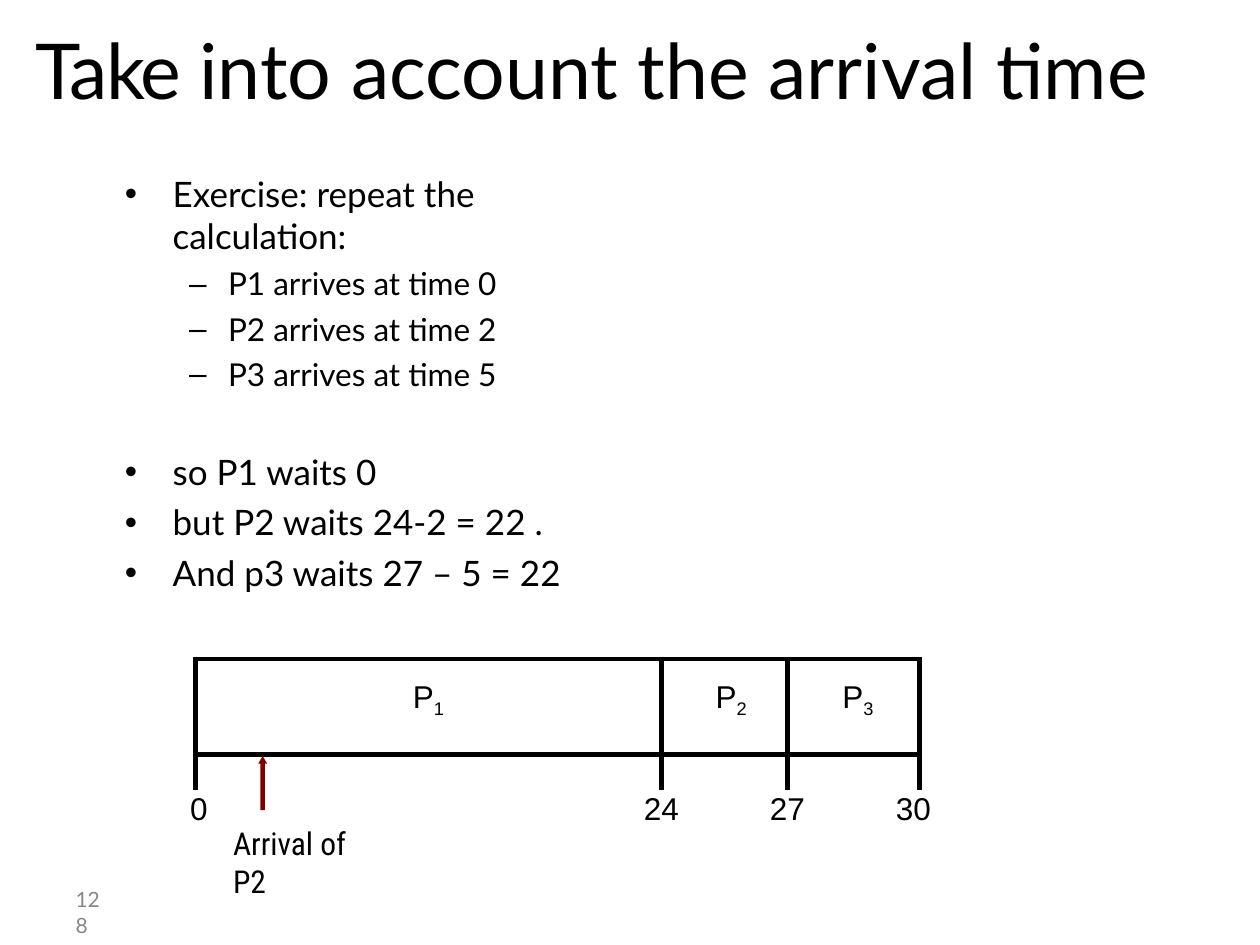
from lxml.etree import SubElement
from pptx import Presentation
from pptx.dml.color import RGBColor
from pptx.enum.shapes import MSO_SHAPE
from pptx.enum.text import MSO_ANCHOR, MSO_AUTO_SIZE, PP_ALIGN
from pptx.oxml.ns import qn
from pptx.util import Inches, Pt

COLORS = {"text": "000000", "number": "888888", "arrow": "800000"}


def add_run(paragraph, text, size, font="Lato", color="text"):
    run = paragraph.add_run()
    run.text = text
    run.font.size = Pt(size)
    run.font.name = font
    run.font.color.rgb = RGBColor.from_string(COLORS[color])
    return run


def prepare_frame(shape, box, top_margin):
    shape.left, shape.top, shape.width, shape.height = (Inches(value) for value in box)
    frame = shape.text_frame
    frame.word_wrap = True
    frame.auto_size = MSO_AUTO_SIZE.NONE
    frame.vertical_anchor = MSO_ANCHOR.TOP
    frame.margin_left = frame.margin_right = frame.margin_bottom = 0
    frame.margin_top = Inches(top_margin)
    return frame


def add_label(slide, box, text, size, font, color="text"):
    left, top, width, height = box
    shape = slide.shapes.add_textbox(0, 0, 0, 0)
    frame = prepare_frame(shape, (left + 0.01, top, width - 0.01, height), 0.01)
    add_run(frame.paragraphs[0], text, size, font, color)


def fill_title(slide, box):
    paragraph = prepare_frame(slide.shapes.title, box, 0.01).paragraphs[0]
    paragraph.alignment = PP_ALIGN.LEFT
    first_run = add_run(paragraph, "Take ", 44)
    first_run.font._element.set("spc", "-120")
    add_run(paragraph, "into account the arrival time", 44)


def fill_body(slide, box):
    # Level: text size, left margin, hanging indent, bullet
    styles = {0: (20, 0.39, -0.38, "•"), 1: (18, 0.83, -0.31, "–")}
    # Level, space before, text
    items = [
        (0, 0, "Exercise: repeat the calculation:"),
        (1, 4.4, "P1 arrives at time 0"),
        (1, 4.3, "P2 arrives at time 2"),
        (1, 4.3, "P3 arrives at time 5"),
        (0, 33, "so P1 waits 0"),
        (0, 4.8, "but P2 waits 24-2 = 22 ."),
        (0, 4.8, "And p3 waits 27 – 5 = 22"),
    ]
    frame = prepare_frame(slide.placeholders[1], box, 0.08)
    for index, (level, space, text) in enumerate(items):
        paragraph = frame.add_paragraph() if index else frame.paragraphs[0]
        size, margin, indent, bullet = styles[level]
        paragraph.level = level
        paragraph.space_before = Pt(space)
        properties = paragraph._p.get_or_add_pPr()
        properties.set("marL", str(Inches(margin)))
        properties.set("indent", str(Inches(indent)))
        SubElement(properties, qn("a:buChar")).set("char", bullet)
        add_run(paragraph, text, size)


def set_borders(cell, sides):
    properties = cell._tc.get_or_add_tcPr()
    fill_position = 0
    for side in "LRTB":
        line = SubElement(properties, qn(f"a:ln{side}"))
        properties.insert(fill_position, line)
        fill_position += 1
        if side in sides:
            line.set("w", str(Pt(3)))
            fill = SubElement(line, qn("a:solidFill"))
            SubElement(fill, qn("a:srgbClr")).set("val", COLORS["text"])
        else:
            SubElement(line, qn("a:noFill"))


def add_gantt_table(slide, box):
    # Column width, left margin, alignment of each process
    processes = [
        (3.7, 0, PP_ALIGN.CENTER),
        (1, 0.43, PP_ALIGN.LEFT),
        (1.05, 0.07, PP_ALIGN.CENTER),
    ]
    frame = slide.shapes.add_table(2, len(processes), *(Inches(value) for value in box))
    table = frame.table
    table.first_row = table.horz_banding = False
    table.rows[0].height, table.rows[1].height = Inches(0.76), Inches(0.28)
    for column, (width, margin, alignment) in enumerate(processes):
        table.columns[column].width = Inches(width)
        bar, tick = table.cell(0, column), table.cell(1, column)
        for cell, sides in ((bar, "LRTB"), (tick, "LRT")):
            cell.margin_left = cell.margin_right = 0
            cell.margin_top = cell.margin_bottom = 0
            cell.fill.background()
            set_borders(cell, sides)
        bar.margin_left, bar.margin_top = Inches(margin), Inches(0.17)
        paragraph = bar.text_frame.paragraphs[0]
        paragraph.alignment = alignment
        add_run(paragraph, "P", 18, "Arial")
        subscript = add_run(paragraph, str(column + 1), 18, "Arial")
        subscript.font._element.set("baseline", "-21000")
        # Small type keeps the empty tick row low
        SubElement(tick.text_frame.paragraphs[0]._p, qn("a:endParaRPr")).set("sz", "800")


def add_time_axis(slide, top):
    for left, width, text in ((1.5, 0.19, "0"), (5.1, 0.32, "24"), (6.1, 0.32, "27"), (7.1, 0.32, "30")):
        add_label(slide, (left, top, width, 0.33), text, 18, "Arial")


def add_arrival(slide, arrow_box, label_box):
    arrow = slide.shapes.add_shape(MSO_SHAPE.UP_ARROW, *(Inches(value) for value in arrow_box))
    arrow.adjustments[0], arrow.adjustments[1] = 0.5, 0.86
    arrow.shadow.inherit = False
    arrow.fill.solid()
    arrow.fill.fore_color.rgb = RGBColor.from_string(COLORS["arrow"])
    arrow.line.fill.background()
    add_label(slide, label_box, "Arrival of P2", 18, "Roboto Condensed")


def main():
    presentation = Presentation()
    presentation.slide_width, presentation.slide_height = Inches(10), Inches(7.5)
    slide = presentation.slides.add_slide(presentation.slide_layouts[1])

    # Title and exercise
    fill_title(slide, (0.28, 0.17, 9.3, 0.76))
    fill_body(slide, (0.98, 1.29, 3.99, 3.11))

    # Schedule with its time axis and arrival mark
    add_gantt_table(slide, (1.55, 5.23, 5.75, 1.04))
    add_time_axis(slide, 6.25)
    add_arrival(slide, (2.05, 6, 0.07, 0.43), (1.84, 6.53, 1.15, 0.33))

    # Slide number
    add_label(slide, (0.59, 7.03, 0.28, 0.23), "128", 12, "Lato", "number")

    presentation.save("out.pptx")


if __name__ == "__main__":
    main()
